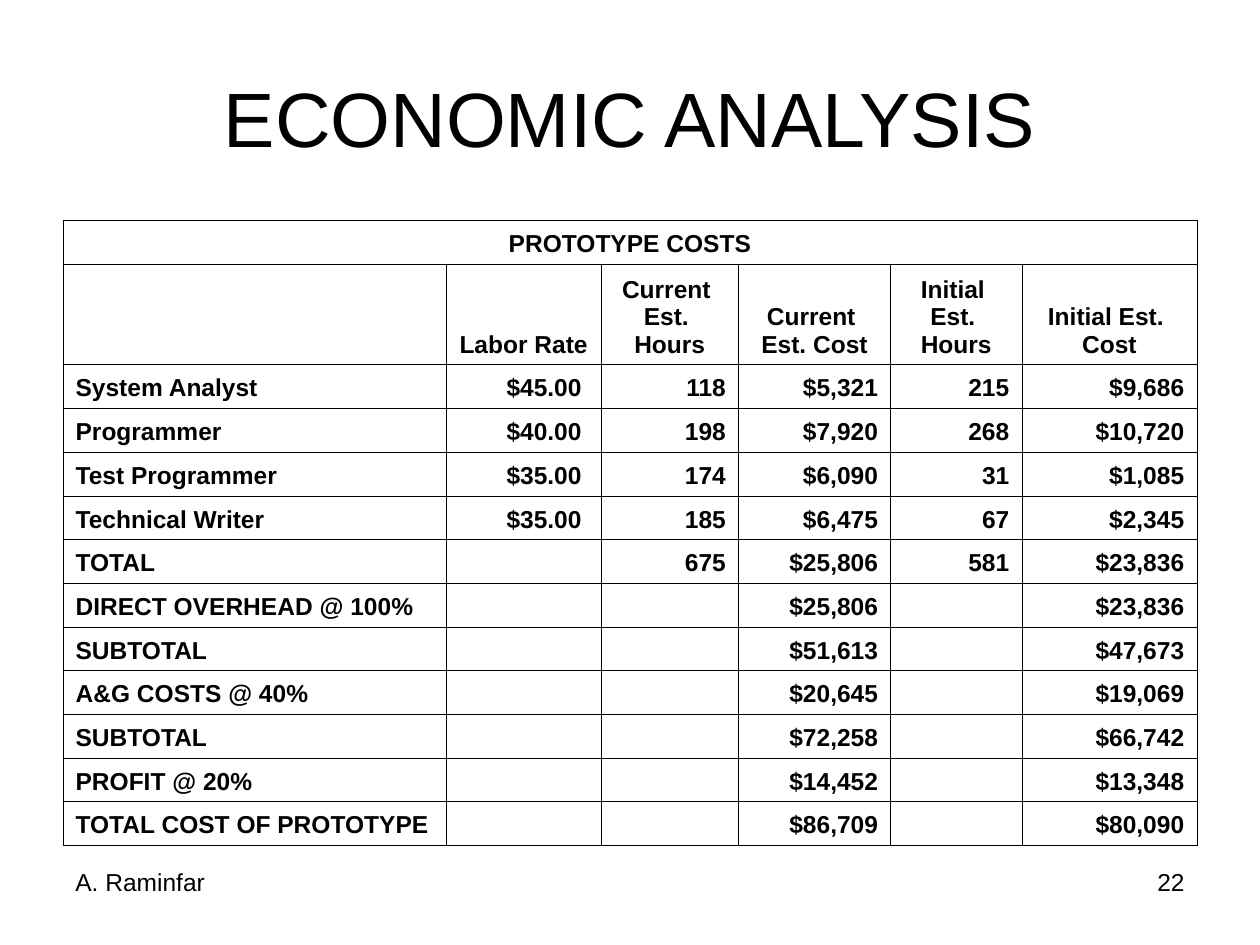
import pptx
import pptx.dml.color
import pptx.enum.text
import pptx.oxml.ns
import pptx.util
from lxml import etree

Pt = pptx.util.Pt
Align = pptx.enum.text.PP_ALIGN
Anchor = pptx.enum.text.MSO_ANCHOR

BLACK = pptx.dml.color.RGBColor(0, 0, 0)
FONT = "Arial"
BODY_SIZE = 14
LEFT, WIDTH = 36, 648
HANGING = 27
COLUMN_WIDTHS = [219, 88.5, 78.5, 87, 75, 100]
ROW_HEIGHT, HEADER_HEIGHT = 25, 57.5

COST_ROWS = [
    ["PROTOTYPE COSTS", "", "", "", "", ""],
    ["", "Labor Rate", "Current \nEst. \nHours", "Current \nEst. Cost",
     "Initial \nEst. \nHours", "Initial Est. \nCost"],
    ["System Analyst", "$45.00 ", "118", "$5,321", "215", "$9,686"],
    ["Programmer", "$40.00 ", "198", "$7,920", "268", "$10,720"],
    ["Test Programmer", "$35.00 ", "174", "$6,090", "31", "$1,085"],
    ["Technical Writer", "$35.00 ", "185", "$6,475", "67", "$2,345"],
    ["TOTAL", "", "675", "$25,806", "581", "$23,836"],
    ["DIRECT OVERHEAD @ 100%", "", "", "$25,806", "", "$23,836"],
    ["SUBTOTAL", "", "", "$51,613", "", "$47,673"],
    ["A&G COSTS @ 40%", "", "", "$20,645", "", "$19,069"],
    ["SUBTOTAL", "", "", "$72,258", "", "$66,742"],
    ["PROFIT @ 20%", "", "", "$14,452", "", "$13,348"],
    ["TOTAL COST OF PROTOTYPE", "", "", "$86,709", "", "$80,090"],
]


def add_element(parent, tag, **attributes):
    return etree.SubElement(parent, pptx.oxml.ns.qn(tag), attributes)


def format_paragraph(paragraph, size, alignment, bold=False):
    paragraph.alignment = alignment
    paragraph.font.name = FONT
    paragraph.font.size = Pt(size)
    paragraph.font.bold = bold
    paragraph.font.color.rgb = BLACK


def set_title(slide, text):
    title = slide.shapes.title
    title.left, title.top = Pt(LEFT), Pt(21.6)
    title.width, title.height = Pt(WIDTH), Pt(90)
    title.text_frame.text = text
    title.text_frame.vertical_anchor = Anchor.MIDDLE
    format_paragraph(title.text_frame.paragraphs[0], 44, Align.CENTER)


def set_borders(cell):
    properties = cell._tc.get_or_add_tcPr()
    for side in ("a:lnL", "a:lnR", "a:lnT", "a:lnB"):
        line = add_element(properties, side, w=str(Pt(0.45)))
        fill = add_element(line, "a:solidFill")
        add_element(fill, "a:srgbClr", val=str(BLACK))


def fill_cell(cell, text, alignment):
    set_borders(cell)
    cell.fill.background()
    cell.vertical_anchor = Anchor.BOTTOM
    cell.margin_left = cell.margin_right = Pt(7.2)
    cell.margin_top = cell.margin_bottom = Pt(3.6)
    cell.text = text
    for paragraph in cell.text_frame.paragraphs:
        format_paragraph(paragraph, BODY_SIZE, alignment, bold=True)
        properties = paragraph._p.get_or_add_pPr()
        properties.set("marL", str(Pt(HANGING)))
        properties.set("indent", str(Pt(-HANGING)))
        if not text:
            add_element(paragraph._p, "a:endParaRPr", sz=str(BODY_SIZE * 100))


def cell_alignment(row_index, column_index):
    if row_index < 2:
        return Align.CENTER
    return Align.RIGHT if column_index else Align.LEFT


def add_cost_table(slide):
    heights = [ROW_HEIGHT] * len(COST_ROWS)
    heights[1] = HEADER_HEIGHT
    table = slide.shapes.add_table(
        len(COST_ROWS), len(COLUMN_WIDTHS),
        Pt(LEFT), Pt(126), Pt(WIDTH), Pt(sum(heights))).table
    table.first_row = False
    table.horz_banding = False
    for column, width in zip(table.columns, COLUMN_WIDTHS):
        column.width = Pt(width)
    for row, height in zip(table.rows, heights):
        row.height = Pt(height)
    for row_index, values in enumerate(COST_ROWS):
        for column_index, value in enumerate(values):
            fill_cell(table.cell(row_index, column_index), value,
                      cell_alignment(row_index, column_index))
    table.cell(0, 0).merge(table.cell(0, len(COLUMN_WIDTHS) - 1))


def add_footer(slide, text, left, width, alignment):
    box = slide.shapes.add_textbox(Pt(left), Pt(492), Pt(width), Pt(37.5))
    box.text_frame.word_wrap = True
    box.text_frame.text = text
    format_paragraph(box.text_frame.paragraphs[0], BODY_SIZE, alignment)


def main():
    presentation = pptx.Presentation()
    presentation.slide_width = Pt(720)
    presentation.slide_height = Pt(540)
    slide = presentation.slides.add_slide(presentation.slide_layouts[5])
    set_title(slide, "ECONOMIC ANALYSIS")
    add_cost_table(slide)
    footer_width = 168
    add_footer(slide, "22", LEFT + WIDTH - footer_width, footer_width, Align.RIGHT)
    add_footer(slide, "A. Raminfar", LEFT, footer_width, Align.LEFT)
    presentation.save("out.pptx")


if __name__ == "__main__":
    main()
